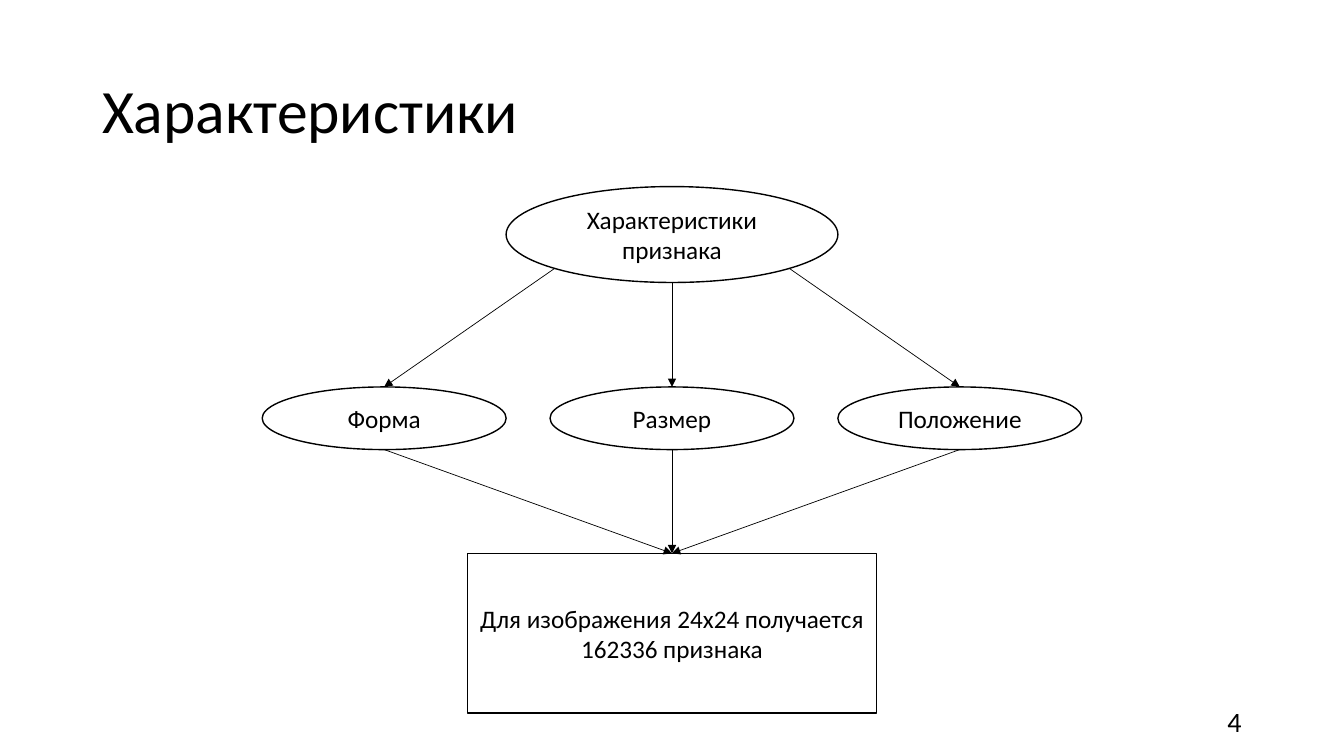
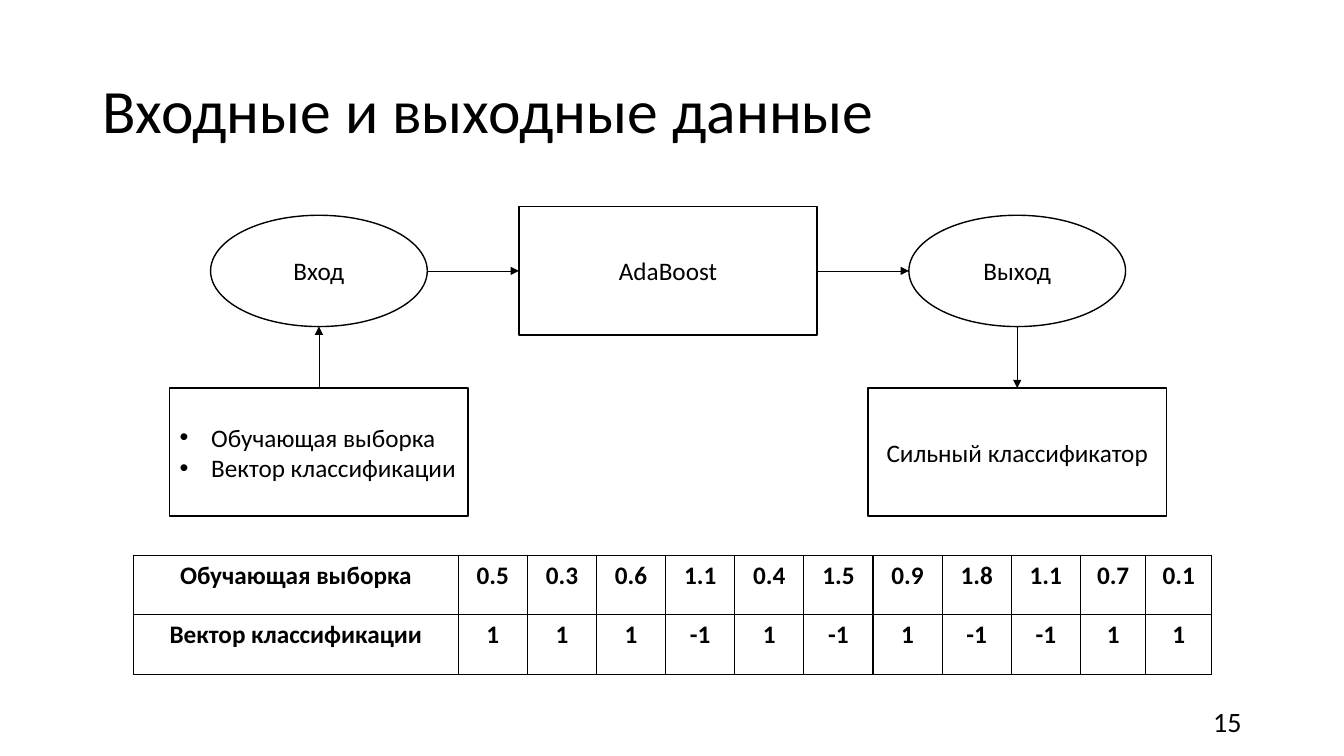
"""Build two slides: a feature tree and a classifier's inputs and outputs."""
from dataclasses import dataclass
from typing import NamedTuple

from lxml import etree
from pptx import Presentation
from pptx.dml.color import RGBColor
from pptx.enum.shapes import MSO_CONNECTOR, MSO_SHAPE
from pptx.enum.text import MSO_ANCHOR, MSO_AUTO_SIZE, PP_ALIGN
from pptx.oxml.ns import qn
from pptx.presentation import Presentation as Deck
from pptx.slide import Slide
from pptx.text.text import TextFrame
from pptx.util import Pt

OVAL, RECT = MSO_SHAPE.OVAL, MSO_SHAPE.RECTANGLE
STRAIGHT = MSO_CONNECTOR.STRAIGHT
MIDDLE, NO_FIT = MSO_ANCHOR.MIDDLE, MSO_AUTO_SIZE.NONE
LEFT, CENTER, RIGHT, JUST = PP_ALIGN.LEFT, PP_ALIGN.CENTER, PP_ALIGN.RIGHT, PP_ALIGN.JUSTIFY
TITLE_ONLY = 5


@dataclass(frozen=True)
class Theme:
    """Colours, type and line sizes shared by the slides."""
    font: str = "Calibri"
    ink: RGBColor = RGBColor(0, 0, 0)
    paper: RGBColor = RGBColor(255, 255, 255)
    title: float = 44
    text: float = 18
    number: float = 20
    edge: float = 1
    wire: float = 0.5
    indent: float = 22.5


class Point(NamedTuple):
    """A place on the slide."""
    x: float
    y: float


@dataclass(frozen=True)
class Node:
    """A labelled shape given by its centre."""
    kind: MSO_SHAPE
    x: float
    y: float
    wide: float
    high: float
    lines: tuple[str, ...]
    listed: bool = False

    def at(self, across: float, down: float) -> Point:
        """Return a point, in half sizes from the centre."""
        return Point(self.x + across * self.wide / 2, self.y + down * self.high / 2)


class Link(NamedTuple):
    """An arrow between two points."""
    start: Point
    end: Point


THEME = Theme()


def write(frame: TextFrame, lines: tuple[str, ...], size: float, align: PP_ALIGN,
          bold: bool = False, listed: bool = False) -> None:
    """Fill a frame with one paragraph a line."""
    for i, line in enumerate(lines):
        para = frame.add_paragraph() if i else frame.paragraphs[0]
        para.alignment = align
        if listed:
            props = para._p.get_or_add_pPr()
            props.set("marL", str(Pt(THEME.indent)))
            props.set("indent", str(-Pt(THEME.indent)))
            etree.SubElement(props, qn("a:buFont"), typeface="Arial")
            etree.SubElement(props, qn("a:buChar"), char="•")
        run = para.add_run()
        run.text = line
        font = run.font
        font.name, font.size, font.bold = THEME.font, Pt(size), bold
        font.color.rgb = THEME.ink


def add_page(deck: Deck, title: str, number: int) -> Slide:
    """Add a slide with its title and number."""
    page = deck.slides.add_slide(deck.slide_layouts[TITLE_ONLY])
    head = page.shapes.title
    head.left, head.top, head.width, head.height = Pt(66), Pt(28.75), Pt(828), Pt(104.4)
    frame = head.text_frame
    frame.vertical_anchor, frame.auto_size = MIDDLE, NO_FIT
    write(frame, (title,), THEME.title, LEFT)
    frame.paragraphs[0].line_spacing = 0.9
    foot = page.shapes.add_textbox(Pt(678), Pt(500.5), Pt(216), Pt(28.75)).text_frame
    foot.word_wrap, foot.vertical_anchor = True, MIDDLE
    write(foot, (str(number),), THEME.number, RIGHT)
    return page


def draw_node(page: Slide, node: Node) -> None:
    """Draw a node with its label."""
    left, top = node.at(-1, -1)
    shape = page.shapes.add_shape(node.kind, Pt(left), Pt(top), Pt(node.wide), Pt(node.high))
    shape.shadow.inherit = False
    shape.fill.solid()
    shape.fill.fore_color.rgb = THEME.paper
    shape.line.color.rgb = THEME.ink
    shape.line.width = Pt(THEME.edge)
    frame = shape.text_frame
    frame.word_wrap, frame.vertical_anchor = True, MIDDLE
    write(frame, node.lines, THEME.text, JUST if node.listed else CENTER, listed=node.listed)


def draw_link(page: Slide, link: Link) -> None:
    """Draw an arrow with a solid head."""
    (x1, y1), (x2, y2) = link
    wire = page.shapes.add_connector(STRAIGHT, Pt(x1), Pt(y1), Pt(x2), Pt(y2))
    wire.line.color.rgb = THEME.ink
    wire.line.width = Pt(THEME.wire)
    etree.SubElement(wire.line._get_or_add_ln(), qn("a:tailEnd"), type="triangle")
    etree.SubElement(wire._element.spPr, qn("a:effectLst"))


def draw_graph(page: Slide, nodes: list[Node], links: list[Link]) -> None:
    """Draw all nodes, then all links."""
    for node in nodes:
        draw_node(page, node)
    for link in links:
        draw_link(page, link)


def draw_grid(page: Slide, left: float, top: float, cols: list[float], high: float,
              rows: list[list[str]]) -> None:
    """Draw a plain ruled table."""
    grid = page.shapes.add_table(len(rows), len(cols), Pt(left), Pt(top),
                                 Pt(sum(cols)), Pt(high * len(rows))).table
    grid.first_row = grid.horz_banding = False
    for col, wide in zip(grid.columns, cols):
        col.width = Pt(wide)
    for r, row in enumerate(rows):
        grid.rows[r].height = Pt(high)
        for c, text in enumerate(row):
            cell = grid.cell(r, c)
            props = cell._tc.get_or_add_tcPr()
            for side in ("lnL", "lnR", "lnT", "lnB"):
                edge = etree.SubElement(props, qn(f"a:{side}"), w=str(Pt(THEME.edge)))
                fill = etree.SubElement(edge, qn("a:solidFill"))
                etree.SubElement(fill, qn("a:srgbClr"), val=str(THEME.ink))
            cell.fill.background()
            write(cell.text_frame, (text,), THEME.text, CENTER, bold=True)


def build_traits(deck: Deck) -> None:
    """Build the feature tree."""
    page = add_page(deck, "Характеристики", 4)
    mid, step, slant = 480, 205.6, 0.5 ** 0.5
    root = Node(OVAL, mid, 167.5, 237, 68.5, ("Характеристики признака",))
    traits = [Node(OVAL, mid + (i - 1) * step, 298.75, 174.25, 44.75, (name,))
              for i, name in enumerate(("Форма", "Размер", "Положение"))]
    total = Node(RECT, mid, 452.25, 292.5, 114,
                 ("Для изображения 24x24 получается 162336 признака",))
    exits = [root.at(-slant, slant), root.at(0, 1), root.at(slant, slant)]
    links = [Link(spot, trait.at(0, -1)) for spot, trait in zip(exits, traits)]
    links += [Link(trait.at(0, 1), total.at(0, -1)) for trait in traits]
    draw_graph(page, [root, *traits, total], links)


def build_flow(deck: Deck) -> None:
    """Build the data flow and its sample table."""
    page = add_page(deck, "Входные и выходные данные", 15)
    first, step, upper, lower = 227.8, 249.4, 193.5, 323
    oval, box = (154.8, 79.5), (213, 91.5)
    last = first + 2 * step
    names = ("Обучающая выборка", "Вектор классификации")
    source = Node(OVAL, first, upper, *oval, ("Вход",))
    boost = Node(RECT, first + step, upper, *box, ("AdaBoost",))
    result = Node(OVAL, last, upper, *oval, ("Выход",))
    data = Node(RECT, first, lower, *box, names, listed=True)
    strong = Node(RECT, last, lower, *box, ("Сильный классификатор",))
    draw_graph(page, [source, data, boost, result, strong], [
        Link(data.at(0, -1), source.at(0, 1)),
        Link(source.at(1, 0), boost.at(-1, 0)),
        Link(boost.at(1, 0), result.at(-1, 0)),
        Link(result.at(0, 1), strong.at(0, -1)),
    ])
    values = ("0.5 0.3 0.6 1.1 0.4 1.5 0.9 1.8 1.1 0.7 0.1", "1 1 1 -1 1 -1 1 -1 -1 1 1")
    rows = [[name, *line.split()] for name, line in zip(names, values)]
    draw_grid(page, 95.5, 396.5, [231.8] + [49.4] * 9 + [46.8] * 2, 42.6, rows)


def main() -> None:
    """Build and save the deck."""
    deck = Presentation()
    deck.slide_width, deck.slide_height = Pt(960), Pt(540)
    build_traits(deck)
    build_flow(deck)
    deck.save("out.pptx")


main()
